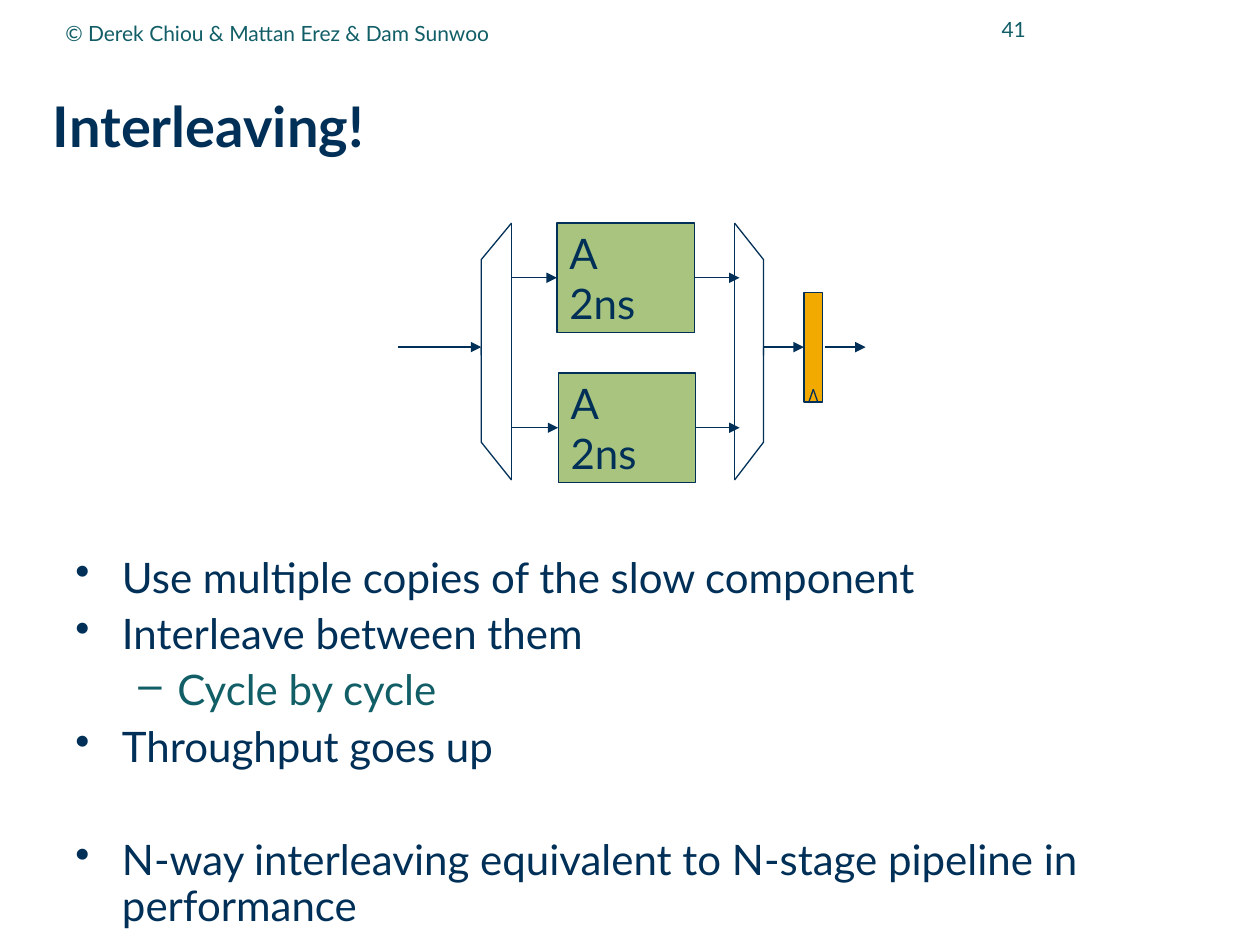
from lxml.etree import SubElement
from pptx import Presentation
from pptx.dml.color import RGBColor
from pptx.enum.shapes import MSO_CONNECTOR, MSO_SHAPE
from pptx.enum.text import MSO_ANCHOR, PP_ALIGN
from pptx.oxml.ns import qn
from pptx.util import Inches, Pt

NAVY, TEAL, GREEN, AMBER = "003057", "115E67", "A9C47F", "F2A900"

prs = Presentation()
prs.slide_width, prs.slide_height = Inches(10), Inches(7.5)
slide = prs.slides.add_slide(prs.slide_layouts[6])
shapes = slide.shapes
U = prs.slide_width // 100  # grid unit: 100 columns, 75 rows


def style(paragraph, size, color, bold=False):
    font = paragraph.font
    font.name, font.size, font.bold = "Lato", Pt(size), bold
    font.color.rgb = RGBColor.from_string(color)


def connect(x1, y1, x2, y2, arrow=True):
    wire = shapes.add_connector(MSO_CONNECTOR.STRAIGHT, *(round(v * U) for v in (x1, y1, x2, y2)))
    wire.line.color.rgb = RGBColor.from_string(NAVY)
    wire.line.width = Pt(0.75)
    if arrow:
        SubElement(wire.line._get_or_add_ln(), qn("a:tailEnd"), type="triangle")
    SubElement(wire._element.spPr, qn("a:effectLst"))
    return wire


# Title, page number and copyright line
for text, (x, y, w, h), inset, size, color, align in (
    ("Interleaving!", (4.2, 5, 94.1, 9.8), 0, 32, NAVY, PP_ALIGN.LEFT),
    ("41", (73.3, -0.2, 9.1, 5), 0.1, 12, TEAL, PP_ALIGN.RIGHT),
    ("© Derek Chiou & Mattan Erez & Dam Sunwoo", (4.2, 0.3, 56.7, 4.6), 0.1, 12, TEAL, PP_ALIGN.LEFT),
):
    frame = shapes.add_textbox(*(round(v * U) for v in (x, y, w, h))).text_frame
    frame.word_wrap = True
    frame.vertical_anchor = MSO_ANCHOR.MIDDLE
    frame.margin_left = frame.margin_right = Inches(inset)
    frame.margin_top = frame.margin_bottom = Inches(inset / 2)
    heading = frame.paragraphs[0]
    heading.text = text
    heading.alignment = align
    style(heading, size, color, bold=size == 32)

# Bullets: text, marker, colour, left indent, hanging indent, space before
body = shapes.add_textbox(5 * U, round(43.7 * U), round(93.3 * U), round(31.2 * U)).text_frame
body.word_wrap = True
for i, (text, marker, color, left, hang, before) in enumerate((
    ("Use multiple copies of the slow component", "•", NAVY, 0.37, 0.37, 0),
    ("Interleave between them", "•", NAVY, 0.37, 0.37, 6.5),
    ("Cycle by cycle", "–", TEAL, 0.81, 0.31, 6),
    ("Throughput goes up", "•", NAVY, 0.37, 0.37, 6.5),
    ("N-way interleaving equivalent to N-stage pipeline in performance", "•", NAVY, 0.37, 0.37, 39),
)):
    point = body.add_paragraph() if i else body.paragraphs[0]
    point.text = text
    point.line_spacing = 0.9
    point.space_before = Pt(before)
    props = point._p.get_or_add_pPr()
    props.set("marL", str(Inches(left)))
    props.set("indent", str(-Inches(hang)))
    SubElement(SubElement(props, qn("a:buClr")), qn("a:srgbClr"), val=color)
    SubElement(props, qn("a:buChar"), char=marker)
    style(point, 24, color)

# Two copies of the slow component, and the output register
blocks = []
for x, y, w, fill, label in (
    (44.2, 17.7, 10.9, GREEN, "A\n2ns"),
    (44.3, 29.6, 10.9, GREEN, "A\n2ns"),
    (63.8, 23.2, 1.5, AMBER, ""),
):
    block = shapes.add_shape(MSO_SHAPE.RECTANGLE, *(round(v * U) for v in (x, y, w, 8.7)))
    block.shadow.inherit = False
    block.fill.solid()
    block.fill.fore_color.rgb = RGBColor.from_string(fill)
    block.line.color.rgb = RGBColor.from_string(NAVY)
    block.line.width = Pt(0.75)
    if label:
        block.text_frame.text = label
        for line in block.text_frame.paragraphs:
            line.alignment = PP_ALIGN.LEFT
            style(line, 24, NAVY)
    blocks.append(block)
*copies, register = blocks

# Clock mark on the register
connect(64.2, 31.9, 64.55, 30.9, arrow=False)
connect(64.55, 30.9, 64.9, 31.9, arrow=False)

# Demultiplexer and multiplexer, each of two mirrored halves
for wide, narrow in ((40.6, 38.2), (58.3, 60.6)):
    for tip, shoulder, end in ((17.7, 20.6, 28.2), (38.1, 35.1, 27.6)):
        outline = shapes.build_freeform(round(wide * U), round(tip * U))
        outline.add_line_segments(
            [(round(narrow * U), round(y * U)) for y in (shoulder, end)], close=False)
        half = outline.convert_to_shape()
        half.shadow.inherit = False
        half.fill.background()
        half.line.color.rgb = RGBColor.from_string(NAVY)
        half.line.width = Pt(0.75)
        connect(wide, tip, wide, end, arrow=False)

# Data flow
MIDDLE = 27.55
connect(31.6, MIDDLE, 38.2, MIDDLE)
for copy_block in copies:
    center = (copy_block.top + copy_block.height / 2) / U
    right = (copy_block.left + copy_block.width) / U
    connect(40.6, center, copy_block.left / U, center).end_connect(copy_block, 1)
    connect(right, center, 58.7, center).begin_connect(copy_block, 3)
connect(60.6, MIDDLE, 63.8, MIDDLE).end_connect(register, 1)
connect(65.5, MIDDLE, 68.7, MIDDLE)

prs.save("out.pptx")
